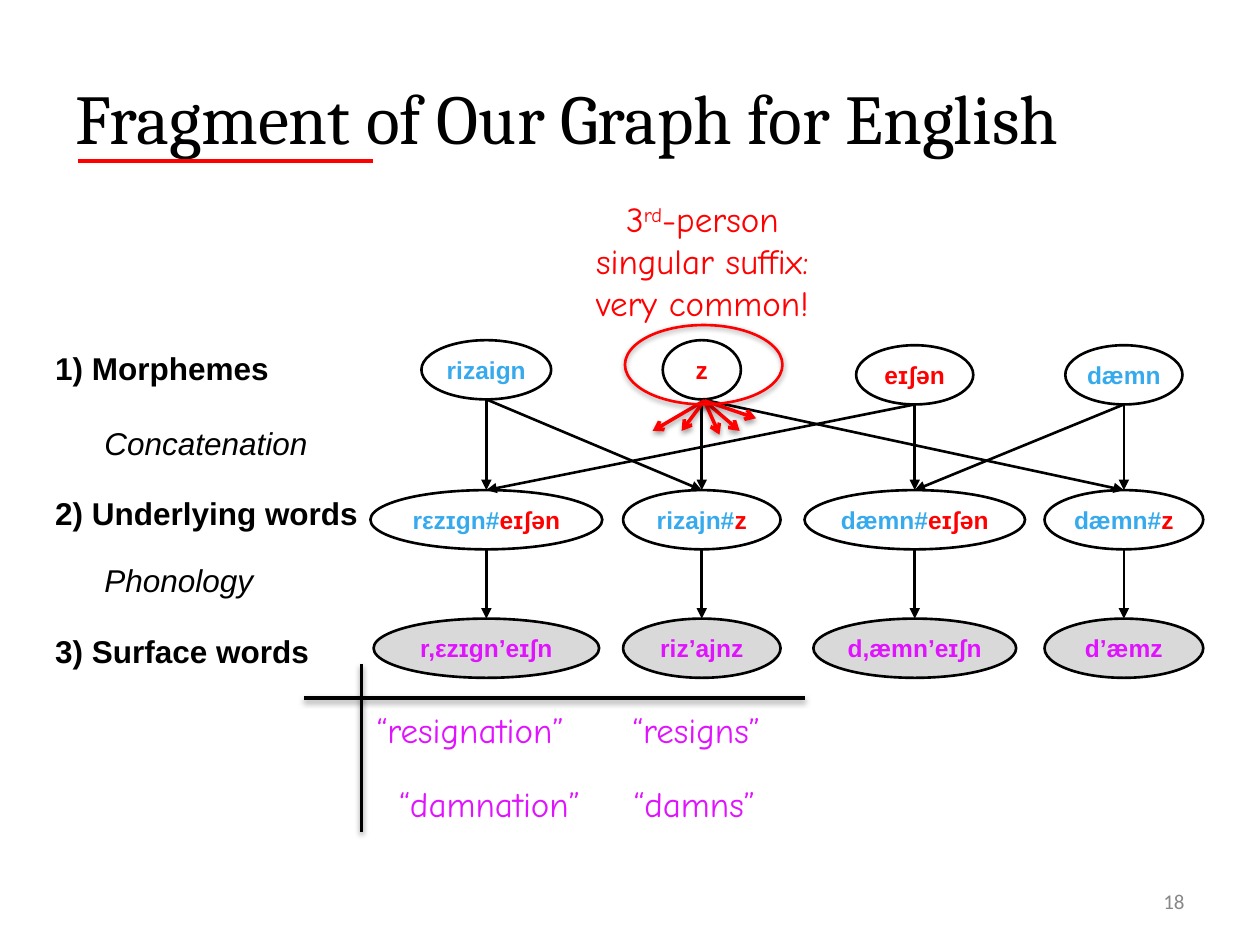
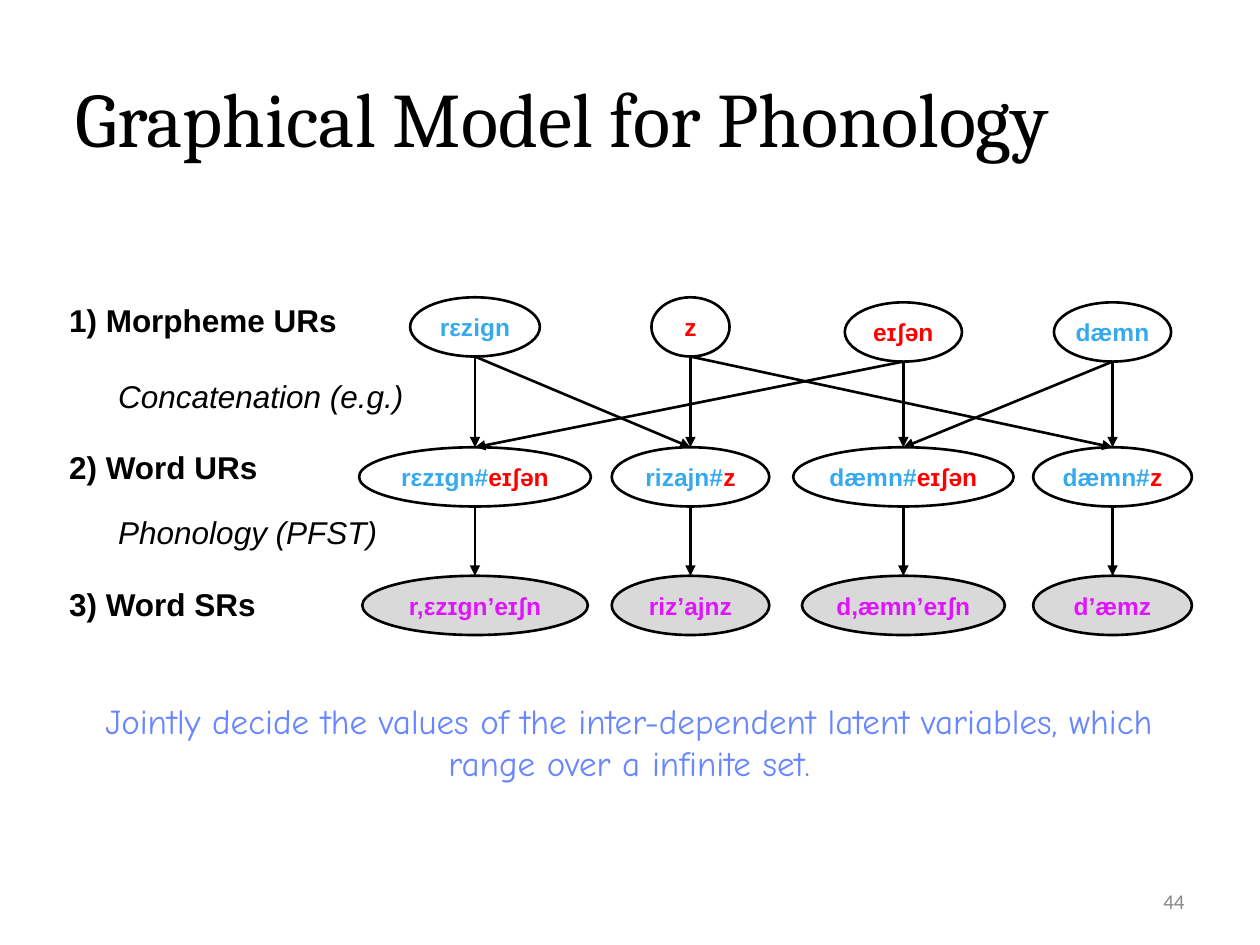
"""Build two slides on a graphical model of English phonology."""
from lxml import etree
from pptx import Presentation
from pptx.dml.color import RGBColor
from pptx.enum.shapes import MSO_CONNECTOR, MSO_SHAPE
from pptx.enum.text import MSO_ANCHOR, PP_ALIGN
from pptx.oxml.ns import qn
from pptx.util import Inches, Pt

STRAIGHT = MSO_CONNECTOR.STRAIGHT
OVAL = MSO_SHAPE.OVAL
TOP, MIDDLE = MSO_ANCHOR.TOP, MSO_ANCHOR.MIDDLE
LEFT, CENTER, RIGHT = PP_ALIGN.LEFT, PP_ALIGN.CENTER, PP_ALIGN.RIGHT

COLORS = {
    "ink": "000000", "paper": "FFFFFF", "observed": "D9D9D9",
    "stem": "37AAED", "suffix": "FF0000", "surface": "E013FF",
    "note": "6886FF", "number": "888888",
}
RGB = {name: RGBColor.from_string(value) for name, value in COLORS.items()}
BODY, HAND = "Arial", "Comic Neue"

COLUMN_CENTERS = [3.86, 5.57, 7.26, 8.92]
NODE_HEIGHT = 0.47
MORPHEME_TOPS = [2.7, 2.7, 2.74, 2.74]
MORPHEME_WIDTHS = [1.03, 0.62, 0.93, 0.93]
WORD_WIDTHS = [1.84, 1.25, 1.75, 1.26]
SURFACE_WIDTHS = [1.79, 1.25, 1.61, 1.26]
WORDS = [
    [("rεzɪgn#", "stem"), ("eɪʃən", "suffix")],
    [("rizajn#", "stem"), ("z", "suffix")],
    [("dæmn#", "stem"), ("eɪʃən", "suffix")],
    [("dæmn#", "stem"), ("z", "suffix")],
]
SURFACES = [[(form, "surface")] for form in
            ("r,εzɪgn’eɪʃn", "riz’ajnz", "d,æmn’eɪʃn", "d’æmz")]
CONCATENATIONS = [(0, 0), (0, 1), (1, 1), (1, 3), (2, 0), (2, 2), (3, 2), (3, 3)]

SLIDES = [
    {
        "title": "Fragment of Our Graph for English", "title_size": 40, "number": "18",
        "first_stem": "rizaign", "shift": (0, 0), "label_left": 0.34,
        "levels": [("1) Morphemes", 2.72), ("2) Underlying words", 3.87),
                   ("3) Surface words", 4.97)],
        "steps": [("Concatenation", 3.32), ("Phonology", 4.4)],
    },
    {
        "title": "Graphical Model for Phonology", "title_size": 44, "number": "44",
        "first_stem": "rεzign", "shift": (-0.09, -0.34), "label_left": 0.45,
        "levels": [("1) Morpheme URs", 2.34), ("2) Word URs", 3.51),
                   ("3) Word SRs", 4.59)],
        "steps": [("Concatenation (e.g.)", 2.94), ("Phonology (PFST)", 4.02)],
    },
]


def write(shape, runs, size, font=BODY, align=LEFT, bold=False, italic=False,
          anchor=TOP, insets=(0.1, 0.05), wrap=True):
    frame = shape.text_frame
    frame.word_wrap, frame.vertical_anchor = wrap, anchor
    frame.margin_left = frame.margin_right = Inches(insets[0])
    frame.margin_top = frame.margin_bottom = Inches(insets[1])
    paragraph = frame.paragraphs[0]
    paragraph.alignment = align
    for text, color in runs:
        if text == "\n":
            paragraph.add_line_break()
            continue
        run = paragraph.add_run()
        run.text = text
        run.font.size, run.font.name = Pt(size), font
        run.font.bold, run.font.italic = bold, italic
        run.font.color.rgb = RGB[color]


def draw_line(slide, start, end, color="ink", width=1.5, head=None, shadow=None):
    line = slide.shapes.add_connector(STRAIGHT, *(Inches(v) for v in (*start, *end)))
    line.line.color.rgb, line.line.width = RGB[color], Pt(width)
    properties = line._element.spPr
    if head:
        etree.SubElement(properties.find(qn("a:ln")), qn("a:tailEnd"), type=head)
    effects = etree.SubElement(properties, qn("a:effectLst"))
    if shadow:
        effects.append(etree.fromstring(shadow))
    return line


SHADOW = (
    '<a:outerShdw xmlns:a="http://schemas.openxmlformats.org/drawingml/2006/main" '
    'blurRad="40000" dist="20000" dir="5400000" rotWithShape="0">'
    f'<a:srgbClr val="{COLORS["ink"]}"><a:alpha val="38000"/></a:srgbClr></a:outerShdw>'
)

deck = Presentation()
deck.slide_width, deck.slide_height = Inches(10), Inches(7.5)
pages = []

for content in SLIDES:
    slide = deck.slides.add_slide(deck.slide_layouts[5])
    pages.append(slide)
    title = slide.shapes.title
    title.left, title.top = Inches(0.5), Inches(0.3)
    title.width, title.height = Inches(9), Inches(1.25)
    write(title, [(content["title"], "ink")], content["title_size"], "Cambria",
          anchor=MIDDLE, insets=(0.1, 0.1))
    number = slide.shapes.add_textbox(Inches(7.17), Inches(6.95), Inches(2.33), Inches(0.4))
    write(number, [(content["number"], "number")], 12, "Calibri", RIGHT, anchor=MIDDLE)

    for labels, indent, is_level in ((content["levels"], 0, True),
                                     (content["steps"], 0.39, False)):
        for text, top in labels:
            label = slide.shapes.add_textbox(Inches(content["label_left"] + indent),
                                             Inches(top), Inches(2.86), Inches(0.4))
            write(label, [(text, "ink")], 18, bold=is_level, italic=not is_level)

    dx, dy = content["shift"]
    morphemes = [[(content["first_stem"], "stem")], [("z", "suffix")],
                 [("eɪʃən", "suffix")], [("dæmn", "stem")]]
    layers = []
    for forms, widths, tops, fill in (
            (morphemes, MORPHEME_WIDTHS, MORPHEME_TOPS, "paper"),
            (WORDS, WORD_WIDTHS, [3.89] * 4, "paper"),
            (SURFACES, SURFACE_WIDTHS, [4.91] * 4, "observed")):
        layer = []
        for runs, center, width, top in zip(forms, COLUMN_CENTERS, widths, tops):
            node = slide.shapes.add_shape(
                OVAL, Inches(center + dx - width / 2), Inches(top + dy),
                Inches(width), Inches(NODE_HEIGHT))
            node.shadow.inherit = False
            node.fill.solid()
            node.fill.fore_color.rgb = RGB[fill]
            node.line.color.rgb, node.line.width = RGB["ink"], Pt(1.5)
            write(node, runs, 14, align=CENTER, bold=True, anchor=MIDDLE,
                  insets=(0.03, 0.03), wrap=False)
            layer.append(node)
        layers.append(layer)

    morpheme_nodes, word_nodes, surface_nodes = layers
    edges = [(morpheme_nodes[source], word_nodes[target])
             for source, target in CONCATENATIONS]
    edges += zip(word_nodes, surface_nodes)
    for source, target in edges:
        arrow = draw_line(slide, (0, 0), (1, 1), head="triangle")
        arrow.begin_connect(source, 2)
        arrow.end_connect(target, 0)
        arrow._element.find(".//" + qn("a:stCxn")).set("idx", "4")

fragment, model = pages

for word, left, top in (("“resignation”", 2.89, 5.57), ("“resigns”", 4.92, 5.57),
                        ("“damnation”", 3.07, 6.16), ("“damns”", 4.93, 6.16)):
    spelling = fragment.shapes.add_textbox(Inches(left), Inches(top), Inches(1.9), Inches(0.44))
    write(spelling, [(word, "surface")], 20, HAND)

suffix_note = fragment.shapes.add_textbox(Inches(4.48), Inches(1.52), Inches(2.19), Inches(1.11))
write(suffix_note, [(text, "suffix") for text in
                    ("3", "rd", "-person", "\n", "singular suffix:", "\n", "very common!")],
      20, HAND, CENTER)
ordinal = suffix_note.text_frame.paragraphs[0].runs[1]
ordinal.font._element.set("baseline", "30000")

for tip in ((5.18, 3.42), (5.87, 3.42), (5.41, 3.42), (5.71, 3.45), (6, 3.32)):
    draw_line(fragment, (5.59, 3.18), tip, "suffix", 2, "arrow", SHADOW)

suffix_ring = fragment.shapes.add_shape(OVAL, Inches(4.96), Inches(2.58),
                                        Inches(1.25), Inches(0.63))
suffix_ring.fill.background()
suffix_ring.line.color.rgb, suffix_ring.line.width = RGB["suffix"], Pt(1.5)
suffix_ring.shadow.inherit = False
suffix_ring._element.spPr.find(qn("a:effectLst")).append(etree.fromstring(SHADOW))

draw_line(fragment, (2.87, 5.27), (2.87, 6.6), width=2, shadow=SHADOW)
draw_line(fragment, (6.39, 5.54), (2.41, 5.54), width=2, shadow=SHADOW)
draw_line(fragment, (0.62, 1.28), (2.96, 1.28), "suffix", 2.25)

summary = model.shapes.add_textbox(Inches(0.54), Inches(5.45), Inches(8.91), Inches(0.86))
write(summary, [("Jointly decide the values of the inter-dependent latent variables, "
                 "which range over a infinite set.", "note")],
      20, HAND, CENTER, insets=(0.1, 0.1))

deck.save("out.pptx")
